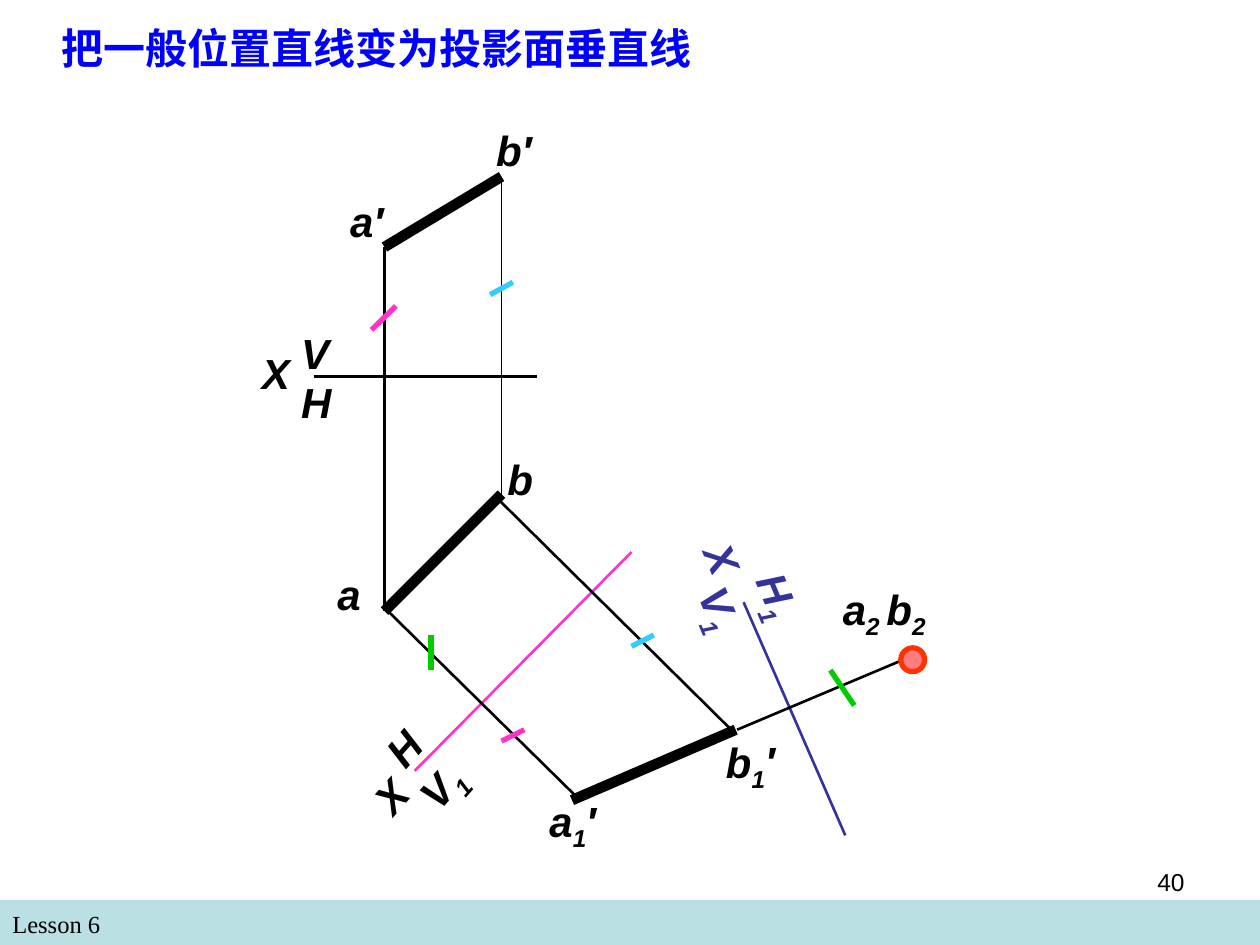
from dataclasses import dataclass

from lxml.etree import SubElement
from pptx import Presentation
from pptx.dml.color import RGBColor
from pptx.enum.shapes import MSO_CONNECTOR, MSO_SHAPE
from pptx.enum.text import PP_ALIGN
from pptx.oxml.ns import qn
from pptx.util import Cm, Pt

COLOURS = {
    "black": "000000",
    "title": "0000FF",
    "navy": "333399",
    "pink": "FF33CC",
    "sky": "33CCFF",
    "green": "00CC00",
    "dot": "FF7C80",
    "ring": "FF3300",
    "footer": "BBE0E3",
}
FIRST_TURN = 311.3   # angle of the X axis H / V1
SECOND_TURN = 67.1   # angle of the X axis V1 / H1
THIN, MEDIUM, TICK, THICK = 0.75, 1.5, 3, 6


@dataclass
class Segment:
    start: tuple[float, float]
    end: tuple[float, float]
    width: float = MEDIUM
    colour: str = "black"


@dataclass
class Label:
    text: str  # parts between bars alternate: normal | subscript | normal
    left: float
    top: float
    width: float
    turn: float = 0
    colour: str = "black"


# Ends of the line in the front (V) and top (H) views
A_FRONT, B_FRONT = (7.75, 4.98), (10.11, 3.56)
A_TOP, B_TOP = (7.75, 12.32), (10.11, 9.96)

SEGMENTS = [
    # Axes
    Segment((6.32, 7.59), (10.82, 7.59)),
    Segment((8.36, 15.54), (12.73, 11.13), colour="pink"),
    Segment((14.99, 12.14), (17.04, 16.84), colour="navy"),
    # Projectors
    Segment(A_FRONT, A_TOP),
    Segment(B_TOP, B_FRONT, THIN),
    Segment((7.72, 12.22), (11.61, 16.05)),
    Segment((10.06, 10.08), (14.76, 14.73)),
    Segment((14.86, 14.71), (18.42, 13.21)),
    # Projections of the line
    Segment(A_FRONT, B_FRONT, THICK),
    Segment(A_TOP, B_TOP, THICK),
    Segment((14.83, 14.71), (11.53, 16.13), THICK),
    # Equal-distance ticks
    Segment((10.57, 14.71), (10.11, 14.94), TICK, "pink"),
    Segment((7.98, 6.17), (7.49, 6.65), TICK, "pink"),
    Segment((9.88, 5.94), (10.34, 5.69), TICK, "sky"),
    Segment((12.73, 13.03), (13.18, 12.8), TICK, "sky"),
    Segment((8.69, 12.8), (8.69, 13.51), TICK, "green"),
    Segment((16.74, 13.51), (17.22, 14.22), TICK, "green"),
]

LABELS = [
    # Front and top views
    Label("a′", 6.81, 3.81, 1.98),
    Label("b′", 9.75, 2.39, 1.98),
    Label("a", 6.55, 11.33, 2.26),
    Label("b", 9.98, 9.02, 2.26),
    Label("X", 5.03, 6.88, 1.65),
    Label("V", 5.82, 6.48, 1.19),
    Label("H", 5.82, 7.47, 1.42),
    # First change of plane
    Label("X", 7.24, 15.19, 1.65, FIRST_TURN),
    Label("H", 7.52, 14.33, 1.42, FIRST_TURN),
    Label("V|1", 8.1, 14.81, 2.31, FIRST_TURN),
    Label("a|1|′", 10.82, 15.9, 2.36, 359.4),
    Label("b|1|′", 14.38, 14.71, 2.36, 359.4),
    # Second change of plane
    Label("X", 13.87, 10.9, 1.65, SECOND_TURN, "navy"),
    Label("H|1", 14.78, 11.56, 1.91, SECOND_TURN, "navy"),
    Label("V|1", 13.54, 11.96, 2.16, SECOND_TURN, "navy"),
    Label("a|2 |b|2", 16.74, 11.63, 3.33),
]


def colour_of(name: str) -> RGBColor:
    return RGBColor.from_string(COLOURS[name])


def add_text(page, text: str, left: float, top: float, width: float, height: float,
             *, size: float = 24, font: str = "Arial", colour: str = "black",
             bold: bool = False, italic: bool = False, turn: float = 0,
             align=PP_ALIGN.LEFT, wrap: bool = True) -> None:
    box = page.shapes.add_textbox(Cm(left), Cm(top), Cm(width), Cm(height))
    box.rotation = turn
    box.text_frame.word_wrap = wrap
    para = box.text_frame.paragraphs[0]
    para.alignment = align
    for index, part in enumerate(text.split("|")):
        span = para.add_run()
        span.text = part
        span.font.size = Pt(size)
        span.font.name = font
        span.font.bold = bold
        span.font.italic = italic
        span.font.color.rgb = colour_of(colour)
        if index % 2:
            span._r.get_or_add_rPr().set("baseline", "-25000")


def add_label(page, label: Label) -> None:
    height = 1.42 if "|" in label.text else 1.27
    add_text(page, label.text, label.left, label.top, label.width, height,
             colour=label.colour, bold=True, italic=True, turn=label.turn)


def add_segment(page, segment: Segment) -> None:
    ends = [Cm(value) for value in (*segment.start, *segment.end)]
    line = page.shapes.add_connector(MSO_CONNECTOR.STRAIGHT, *ends)
    line.line.width = Pt(segment.width)
    line.line.color.rgb = colour_of(segment.colour)
    SubElement(line._element.spPr, qn("a:effectLst"))


def add_filled(page, kind, left: float, top: float, width: float, height: float,
               fill: str, outline: str | None = None) -> None:
    shape = page.shapes.add_shape(kind, Cm(left), Cm(top), Cm(width), Cm(height))
    shape.shadow.inherit = False
    shape.fill.solid()
    shape.fill.fore_color.rgb = colour_of(fill)
    if outline:
        shape.line.color.rgb = colour_of(outline)
        shape.line.width = Pt(3)
    else:
        shape.line.fill.background()


def main() -> None:
    deck = Presentation()
    deck.slide_width, deck.slide_height = Cm(25.4), Cm(19.05)
    page = deck.slides.add_slide(deck.slide_layouts[6])

    # Footer band
    add_filled(page, MSO_SHAPE.RECTANGLE, 0, 18.14, 25.4, 0.91, "footer")
    add_text(page, "Lesson 6", 0, 18.21, 12.27, 0.86, size=14, font="Times New Roman")

    # Construction drawing
    for segment in SEGMENTS:
        add_segment(page, segment)
    add_filled(page, MSO_SHAPE.OVAL, 18.16, 13.06, 0.48, 0.48, "dot", "ring")
    for label in LABELS:
        add_label(page, label)

    # Title and page number
    add_text(page, "把一般位置直线变为投影面垂直线", 0.99, 0.33, 13.21, 1.27,
             colour="title", bold=True, wrap=False)
    add_text(page, "40", 18.21, 17.35, 5.92, 1.32, size=14, align=PP_ALIGN.RIGHT)

    deck.save("out.pptx")


if __name__ == "__main__":
    main()
